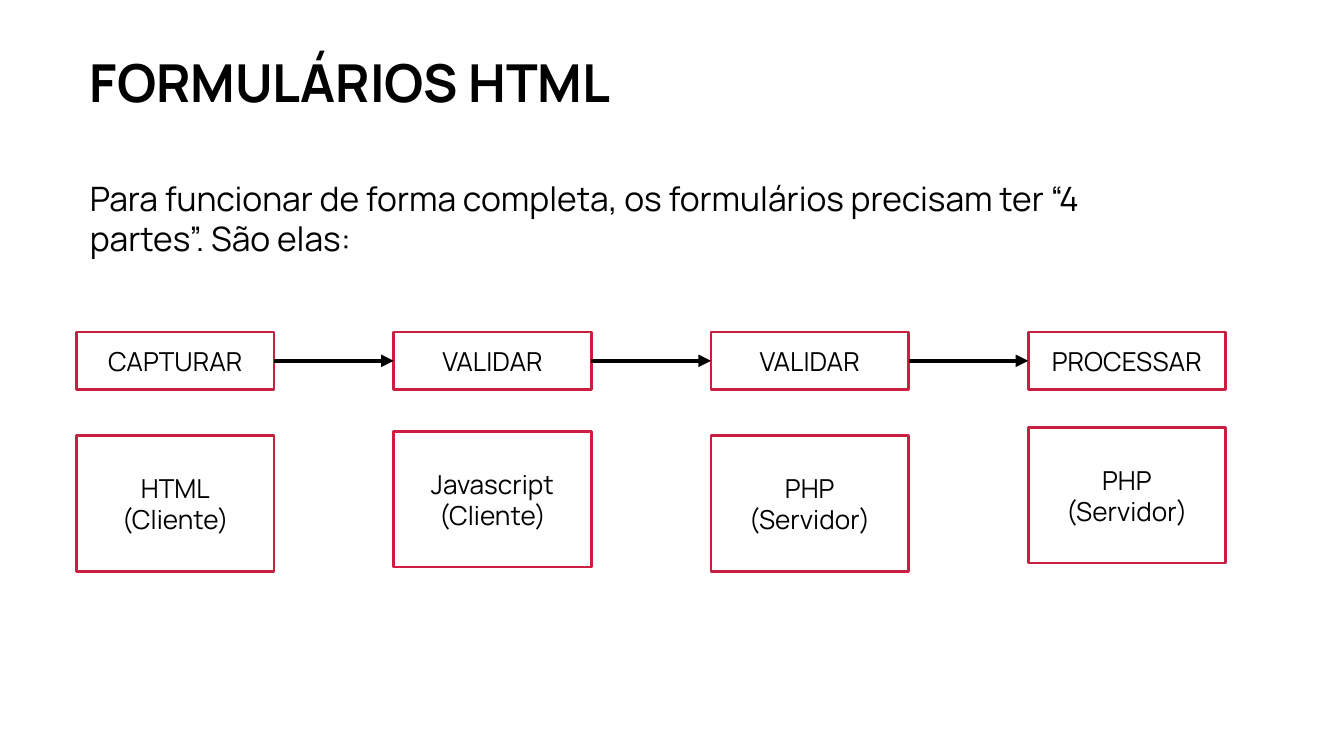
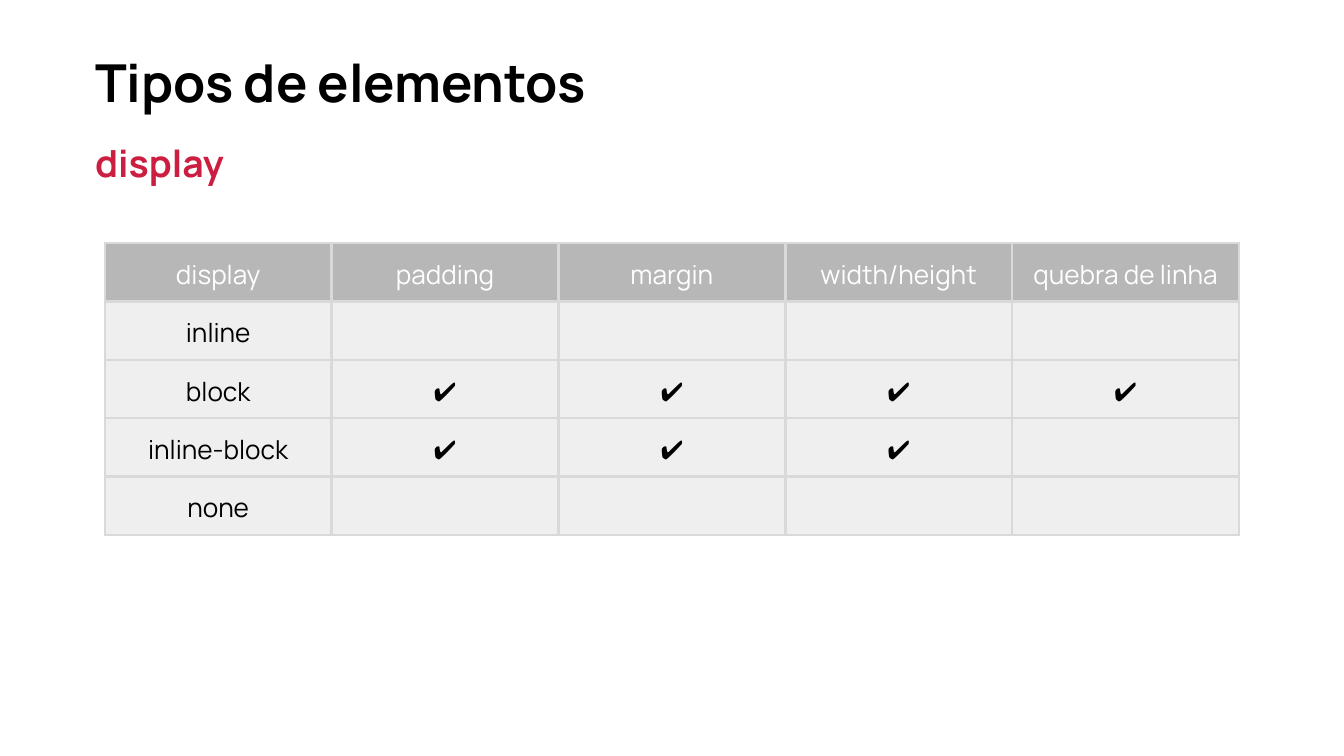
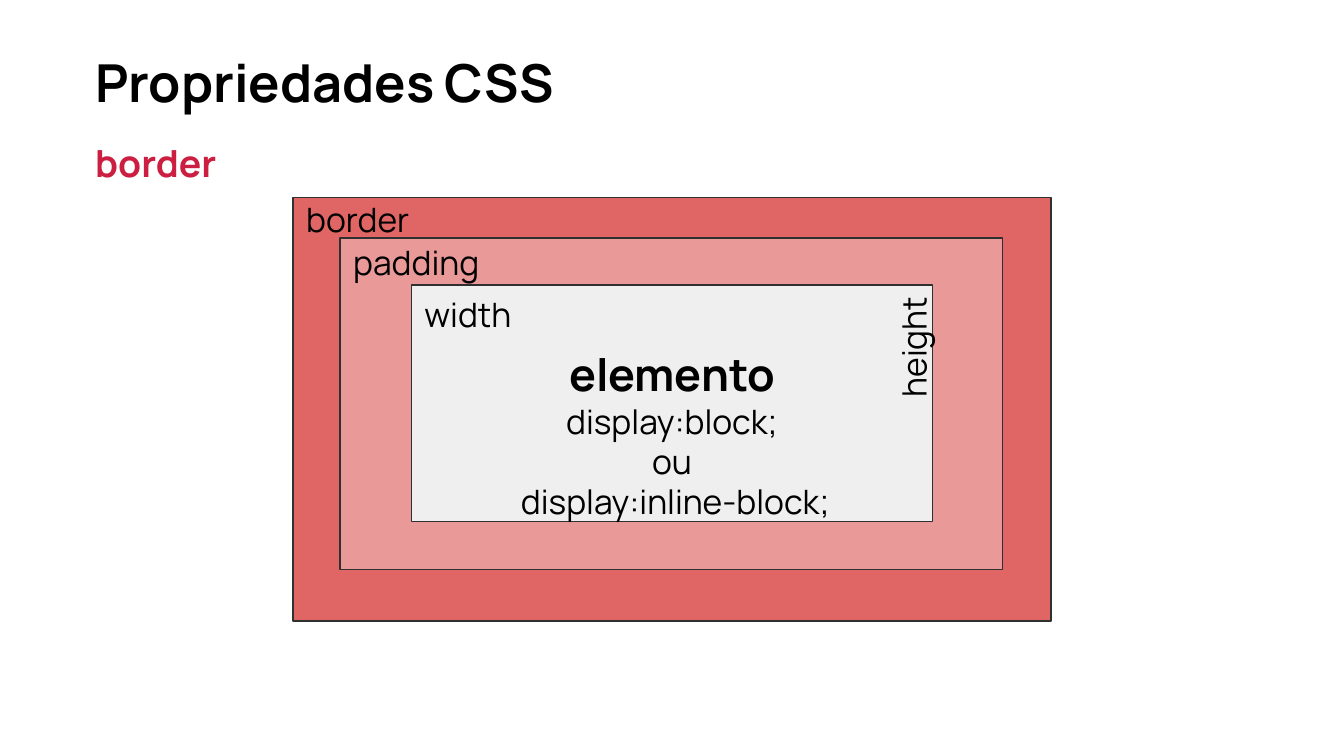
from lxml.etree import SubElement
from pptx import Presentation
from pptx.dml.color import RGBColor
from pptx.enum.shapes import MSO_CONNECTOR, MSO_SHAPE
from pptx.enum.text import MSO_ANCHOR, PP_ALIGN
from pptx.oxml.ns import qn
from pptx.util import Inches, Pt

COLORS = {
    "text": "000000",
    "accent": "CB1E40",
    "white": "FFFFFF",
    "header": "B7B7B7",
    "light": "EFEFEF",
    "grid": "D9D9D9",
    "border": "E06666",
    "padding": "EA9999",
    "outline": "303030",
}
FONT = "Manrope"


def write(frame, text, size, color="text", bold=False, align=PP_ALIGN.LEFT, anchor=MSO_ANCHOR.TOP):
    frame.text = text
    if anchor is not None:
        frame.word_wrap = True
        frame.vertical_anchor = anchor
        frame.margin_left = frame.margin_right = Inches(0.1)
        frame.margin_top = frame.margin_bottom = Inches(0.1)
    for paragraph in frame.paragraphs:
        paragraph.alignment = align
        for run in paragraph.runs:
            run.font.name = FONT
            run.font.size = Pt(size)
            run.font.bold = bold
            run.font.color.rgb = RGBColor.from_string(COLORS[color])


def add_box(slide, left, top, width, height, line, line_width, fill=None):
    shape = slide.shapes.add_shape(
        MSO_SHAPE.RECTANGLE, Inches(left), Inches(top), Inches(width), Inches(height))
    shape.shadow.inherit = False
    if fill:
        shape.fill.solid()
        shape.fill.fore_color.rgb = RGBColor.from_string(COLORS[fill])
    else:
        shape.fill.background()
    shape.line.color.rgb = RGBColor.from_string(COLORS[line])
    shape.line.width = Pt(line_width)
    return shape


presentation = Presentation()
presentation.slide_width = Inches(10)
presentation.slide_height = Inches(10) * 9 // 16

headings = [
    ("FORMULÁRIOS HTML", 0.57, None, 0),
    ("Tipos de elementos", 0.61, "display", 3.86),
    ("Propriedades CSS", 0.61, "border", 8.48),
]
slides = []
for title, left, subtitle, subtitle_width in headings:
    slide = presentation.slides.add_slide(presentation.slide_layouts[6])
    slides.append(slide)
    title_box = slide.shapes.add_textbox(Inches(left), Inches(0.03), Inches(7.34), Inches(0.91))
    write(title_box.text_frame, title, 28, bold=True, anchor=MSO_ANCHOR.BOTTOM)
    if subtitle:
        subtitle_box = slide.shapes.add_textbox(
            Inches(left), Inches(0.94), Inches(subtitle_width), Inches(0.58))
        write(subtitle_box.text_frame, subtitle, 20, "accent", bold=True)
form_slide, display_slide, border_slide = slides

intro = form_slide.shapes.add_textbox(Inches(0.57), Inches(1.22), Inches(8.28), Inches(1.01))
write(intro.text_frame,
      "Para funcionar de forma completa, os formulários precisam ter “4 partes”. São elas:", 18)

steps = [
    ("CAPTURAR", "HTML\n(Cliente)", 3.24),
    ("VALIDAR", "Javascript\n(Cliente)", 3.21),
    ("VALIDAR", "PHP\n(Servidor)", 3.24),
    ("PROCESSAR", "PHP\n(Servidor)", 3.18),
]
previous_step = None
for index, (action, technology, technology_top) in enumerate(steps):
    left = 0.57 + index * 2.36
    step = add_box(form_slide, left, 2.47, 1.47, 0.43, "accent", 1.5)
    write(step.text_frame, action, 14, align=PP_ALIGN.CENTER)
    technology_box = add_box(form_slide, left, technology_top, 1.47, 1.01, "accent", 1.5)
    write(technology_box.text_frame, technology, 14,
          align=PP_ALIGN.CENTER, anchor=MSO_ANCHOR.MIDDLE)
    if previous_step:
        arrow = form_slide.shapes.add_connector(MSO_CONNECTOR.STRAIGHT, 0, 0, 0, 0)
        arrow.begin_connect(previous_step, 3)
        arrow.end_connect(step, 1)
        arrow.line.color.rgb = RGBColor.from_string(COLORS["text"])
        arrow.line.width = Pt(2.25)
        SubElement(arrow.line._get_or_add_ln(), qn("a:tailEnd"), type="triangle")
        SubElement(arrow._element.spPr, qn("a:effectLst"))
    previous_step = step

rows = [
    ["display", "padding", "margin", "width/height", "quebra de linha"],
    ["inline", "", "", "", ""],
    ["block", "✔", "✔", "✔", "✔"],
    ["inline-block", "✔", "✔", "✔", ""],
    ["none", "", "", "", ""],
]
table = display_slide.shapes.add_table(
    len(rows), len(rows[0]), Inches(0.78), Inches(1.81), Inches(8.44), Inches(2.17)).table
table.horz_banding = False
for row_index, values in enumerate(rows):
    is_header = row_index == 0
    for column_index, value in enumerate(values):
        cell = table.cell(row_index, column_index)
        write(cell.text_frame, value, 14, "white" if is_header else "text",
              align=PP_ALIGN.CENTER, anchor=None)
        cell.margin_left = cell.margin_right = Inches(0.1)
        cell.margin_top = cell.margin_bottom = Inches(0.1)
        if not value:
            SubElement(cell.text_frame.paragraphs[0]._p, qn("a:endParaRPr"), sz="1400")
        properties = cell._tc.get_or_add_tcPr()
        for side in ("a:lnL", "a:lnR", "a:lnT", "a:lnB"):
            edge = SubElement(properties, qn(side), w=str(Pt(1.5)))
            edge_fill = SubElement(edge, qn("a:solidFill"))
            SubElement(edge_fill, qn("a:srgbClr"), val=COLORS["grid"])
        cell.fill.solid()
        cell.fill.fore_color.rgb = RGBColor.from_string(COLORS["header" if is_header else "light"])

layers = [
    (2.18, 1.47, 5.64, 3.15, "border"),
    (2.53, 1.77, 4.93, 2.47, "padding"),
    (3.06, 2.12, 3.88, 1.76, "light"),
]
for left, top, width, height, fill in layers:
    add_box(border_slide, left, top, width, height, "outline", 0.75, fill)

labels = [
    ("border", 2.18, 1.38, 1.21, 0.45, 0),
    ("width", 3.06, 2.09, 0.89, 0.35, 0),
    ("height", 6.22, 2.38, 1, 0.35, 270),
    ("padding", 2.53, 1.7, 1.33, 0.35, 0),
]
for text, left, top, width, height, rotation in labels:
    label = border_slide.shapes.add_textbox(
        Inches(left), Inches(top), Inches(width), Inches(height))
    label.rotation = rotation
    write(label.text_frame, text, 18)

element = border_slide.shapes.add_textbox(Inches(3.24), Inches(2.48), Inches(3.52), Inches(0.74))
write(element.text_frame, "elemento\ndisplay:block;\nou\n display:inline-block;", 18,
      align=PP_ALIGN.CENTER)
element_name = element.text_frame.paragraphs[0].runs[0]
element_name.font.size = Pt(24)
element_name.font.bold = True

presentation.save("out.pptx")
